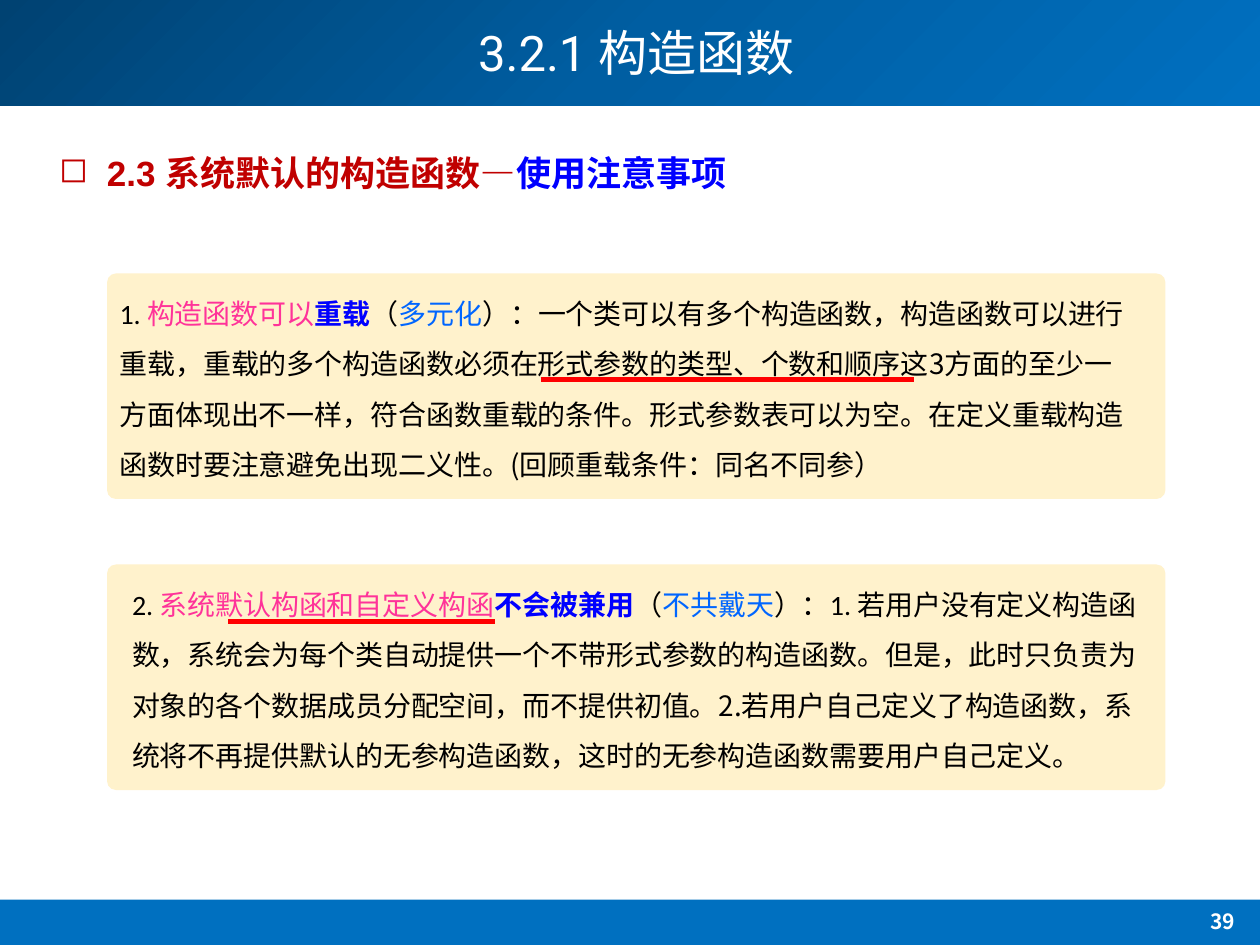
from copy import deepcopy

from lxml.etree import SubElement
from pptx import Presentation
from pptx.dml.color import RGBColor
from pptx.enum.shapes import MSO_CONNECTOR as Connector, MSO_SHAPE as Shape
from pptx.enum.text import MSO_ANCHOR as Anchor, PP_ALIGN as Align
from pptx.oxml.ns import qn
from pptx.util import Inches, Pt

NAVY = RGBColor(0x00, 0x42, 0x72)
MID_BLUE = RGBColor(0x00, 0x5E, 0xA2)
BLUE = RGBColor(0x00, 0x70, 0xC0)
CREAM = RGBColor(0xFF, 0xF2, 0xCC)
WHITE = RGBColor(0xFF, 0xFF, 0xFF)
BLACK = RGBColor(0x00, 0x00, 0x00)
DARK_RED = RGBColor(0xC0, 0x00, 0x00)
RED = RGBColor(0xFF, 0x00, 0x00)
PINK = RGBColor(0xFF, 0x33, 0x99)
PURE_BLUE = RGBColor(0x00, 0x00, 0xFF)
SKY = RGBColor(0x00, 0x66, 0xFF)
CJK = "Noto Sans CJK SC"


def add_run(paragraph, text, size=16, font="Calibri", color=BLACK, bold=False):
    """Append a formatted run, with the CJK font for East Asian text."""
    run = paragraph.add_run()
    run.text = text
    run.font.size = Pt(size)
    run.font.name = font
    run.font.color.rgb = color
    run.font.bold = bold
    east_asian = SubElement(run.font._element, qn("a:ea"))
    east_asian.set("typeface", CJK)


def add_panel(slide, kind, left, top, width, height, color):
    """Add a flat shape without outline or shadow."""
    panel = slide.shapes.add_shape(kind, left, top, width, height)
    panel.shadow.inherit = False
    panel.fill.solid()
    panel.fill.fore_color.rgb = color
    panel.line.fill.background()
    return panel


def add_paragraph_box(slide, left, top, width, height):
    """Add a wrapping text box and return its first paragraph."""
    frame = slide.shapes.add_textbox(left, top, width, height).text_frame
    frame.word_wrap = True
    return frame.paragraphs[0]


def add_header(slide, left, top, width, height):
    """Place the gradient band and the slide title."""
    band = add_panel(slide, Shape.RECTANGLE, left, top, width, height, BLUE)
    band.fill.gradient()
    band.fill.gradient_angle = 315
    first = band.fill.gradient_stops[0]._gs
    first.addnext(deepcopy(first))
    colors = (NAVY, MID_BLUE, BLUE)
    for stop, position, color in zip(band.fill.gradient_stops, (0, 0.5, 1), colors):
        stop.position = position
        stop.color.rgb = color

    title = slide.shapes.title
    slide.shapes._spTree.append(title._element)
    title.left, title.top = left + Inches(0.85), top
    title.width, title.height = Inches(8.4), Inches(0.89)
    title.text_frame.vertical_anchor = Anchor.MIDDLE
    paragraph = title.text_frame.paragraphs[0]
    paragraph.alignment = Align.CENTER
    paragraph.line_spacing = 0.9
    add_run(paragraph, "3.2.1 ", size=28, font="Roboto", color=WHITE)
    add_run(paragraph, "构造函数", size=28, font=CJK, color=WHITE)


def add_footer(slide, left, top, width, height):
    """Place the footer band and the page number."""
    add_panel(slide, Shape.RECTANGLE, left, top, width, height, BLUE)
    number = add_paragraph_box(
        slide, left + Inches(9.23), top + Inches(0.02), Inches(0.95), height)
    number.alignment = Align.CENTER
    add_run(number, "39", size=12, font=CJK, color=WHITE, bold=True)


def add_heading(slide, left, top, width, height):
    """Place the bulleted section heading."""
    heading = add_paragraph_box(slide, left, top, width, height)
    properties = heading._p.get_or_add_pPr()
    properties.set("marL", str(Inches(0.38)))
    properties.set("indent", str(-Inches(0.38)))
    SubElement(properties, qn("a:buChar")).set("char", "◻")
    style = {"size": 20, "font": "Arial", "bold": True}
    add_run(heading, "2.3 系统默认的构造函数—", color=DARK_RED, **style)
    add_run(heading, "使用注意事项", color=PURE_BLUE, **style)


def add_note(slide, left, top, width, height, runs, inset, mark):
    """Place a note card with its text and a red underline."""
    card = add_panel(slide, Shape.ROUNDED_RECTANGLE, left, top, width, height, CREAM)
    card.adjustments[0] = 0.04
    note = add_paragraph_box(slide, left + inset, top, Inches(8.21), Inches(1.72))
    note.line_spacing = 1.5
    for text, style in runs:
        add_run(note, text, **style)

    offset, drop, length = map(Inches, mark)
    underline = slide.shapes.add_connector(
        Connector.STRAIGHT, left + offset, top + drop,
        left + offset + length, top + drop)
    underline.line.color.rgb = RED
    underline.line.width = Pt(3)
    SubElement(underline._element.spPr, qn("a:effectLst"))


def note_runs(number, subject, key, nickname, closing, explanation):
    """Pair the parts of a note with their formats."""
    return [
        (number, {}),
        (subject, {"color": PINK}),
        (key, {"color": PURE_BLUE, "bold": True}),
        ("（", {}),
        (nickname, {"font": CJK, "color": SKY}),
        (closing, {}),
        (explanation, {"font": CJK}),
    ]


def main():
    """Build and save the slide."""
    deck = Presentation()
    deck.slide_width, deck.slide_height = Inches(10), Inches(7.5)
    slide = deck.slides.add_slide(deck.slide_layouts[5])
    add_header(slide, 0, 0, deck.slide_width, Inches(0.84))
    add_footer(slide, 0, Inches(7.14), deck.slide_width, Inches(0.36))
    add_heading(slide, Inches(0.37), Inches(1.15), Inches(7.82), Inches(0.44))

    overloading = note_runs(
        "1. ", "构造函数可以", "重载", "多元化", "）：",
        "一个类可以有多个构造函数，构造函数可以进行重载，重载的多个构造函数必须"
        "在形式参数的类型、个数和顺序这3方面的至少一方面体现出不一样，符合函数重载的条件。"
        "形式参数表可以为空。在定义重载构造函数时要注意避免出现二义性。"
        "(回顾重载条件：同名不同参）")
    exclusion = note_runs(
        "2. ", "系统默认构函和自定义构函", "不会被兼用", "不共戴天", "）：1. ",
        "若用户没有定义构造函数，系统会为每个类自动提供一个不带形式参数的构造函数。"
        "但是，此时只负责为对象的各个数据成员分配空间，而不提供初值。"
        "2.若用户自己定义了构造函数，系统将不再提供默认的无参构造函数，"
        "这时的无参构造函数需要用户自己定义。")
    notes = [
        (2.17, overloading, 0, (3.44, 0.84, 2.96)),
        (4.48, exclusion, 0.1, (0.96, 0.45, 2.12)),
    ]
    for top, runs, inset, mark in notes:
        add_note(slide, Inches(0.85), Inches(top), Inches(8.4), Inches(1.79),
                 runs, Inches(inset), mark)
    deck.save("out.pptx")


if __name__ == "__main__":
    main()
